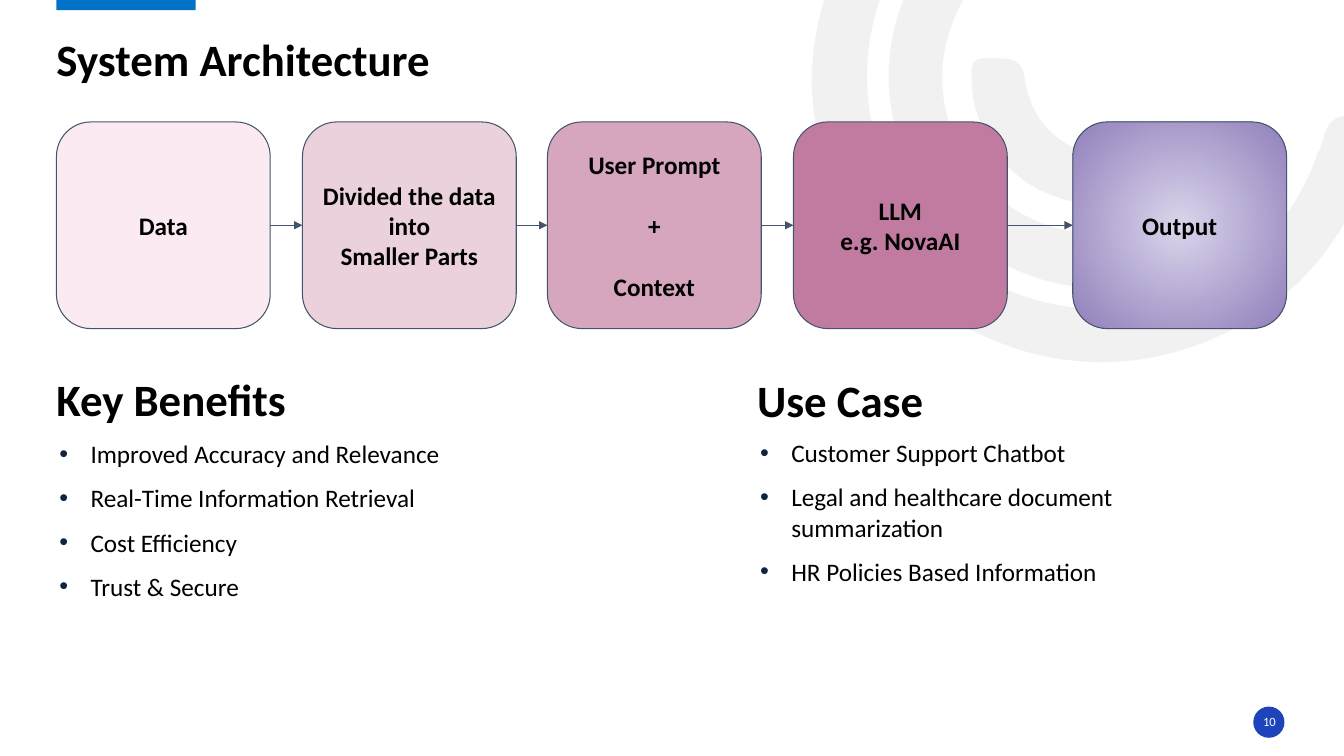
"""Build the System Architecture slide with its process flow and two bullet lists."""
from dataclasses import dataclass
from itertools import chain

from lxml.etree import SubElement
from pptx import Presentation
from pptx.dml.color import RGBColor
from pptx.enum.shapes import MSO_CONNECTOR, MSO_SHAPE
from pptx.enum.text import MSO_ANCHOR as Anchor, PP_ALIGN as Align
from pptx.oxml.ns import qn
from pptx.util import Inches, Pt

COLORS = {
    "text": "000000", "white": "FFFFFF", "outline": "44546A", "bullet": "0F253E",
    "swirl": "E7E6E6", "bar": "0072C7", "badge": "1E44BC",
    "data": "FBEAF2", "parts": "EAD1DC", "prompt": "D5A6BD", "model": "C27BA0",
    "output_core": "DBD4EB", "output_edge": "9080BB",
}
FONT = "Calibri"
Point = tuple[float, float]
Box = tuple[float, float, float, float]


@dataclass
class Stage:
    lines: list[str]
    fills: list[str]
    gap_before: float = 0.32
    line_gap: int = 0


@dataclass
class Heading:
    text: str
    box: Box


@dataclass
class BulletList:
    items: list[str]
    box: Box


@dataclass
class Arc:
    start: Point
    curves: list[tuple[Point, Point, Point]]


STAGES = [
    Stage(["Data"], ["data"], 0),
    Stage(["Divided the data", "into", "Smaller Parts"], ["parts"]),
    Stage(["User Prompt", "+", "Context"], ["prompt"], 0.31, line_gap=22),
    Stage(["LLM", "e.g. NovaAI"], ["model"]),
    Stage(["Output"], ["output_core", "output_edge"], 0.65),
]
HEADINGS = [
    Heading("System Architecture", (0.56, 0.35, 12.19, 0.51)),
    Heading("Key Benefits", (0.56, 3.72, 4.96, 0.51)),
    Heading("Use Case", (7.51, 3.73, 4.96, 0.51)),
]
BULLET_LISTS = [
    BulletList(["Improved Accuracy and Relevance", "Real-Time Information Retrieval",
                "Cost Efficiency", "Trust & Secure"], (0.36, 4.3, 5.16, 2.54)),
    BulletList(["Customer Support Chatbot", "Legal and healthcare document summarization",
                "HR Policies Based Information"], (7.31, 4.29, 5.16, 2.54)),
]
SWIRL = [
    Arc((8.51, 2.29), [
        ((7.99, 1.49), (7.87, 0.5), (8.38, -0.5)),
        ((8.9, -1.52), (9.76, -2.03), (10.9, -2.07)),
        ((11.05, -2.07), (11.21, -2.1), (11.31, -1.95)),
        ((11.44, -1.75), (11.27, -1.54), (10.98, -1.54)),
        ((9.67, -1.54), (8.65, -0.59), (8.6, 0.68)),
        ((8.56, 1.81), (9.36, 2.81), (10.46, 3.02)),
        ((11.6, 3.24), (12.7, 2.61), (13.07, 1.52)),
        ((13.09, 1.48), (13.11, 1.44), (13.12, 1.4)),
        ((13.16, 1.19), (13.27, 1.11), (13.49, 1.17)),
        ((13.73, 1.24), (13.67, 1.41), (13.61, 1.56)),
        ((13.34, 2.45), (12.78, 3.07), (11.91, 3.41)),
        ((10.7, 3.87), (9.36, 3.45), (8.51, 2.29)),
    ]),
    Arc((9.22, 1.99), [
        ((8.62, 1.15), (8.69, 0.07), (9.4, -0.68)),
        ((9.51, -0.79), (9.62, -0.95), (9.8, -0.78)),
        ((9.95, -0.64), (9.97, -0.5), (9.79, -0.32)),
        ((9.25, 0.26), (9.2, 1.08), (9.65, 1.68)),
        ((10.08, 2.29), (10.88, 2.49), (11.61, 2.15)),
        ((11.82, 2.05), (11.93, 2.12), (12.03, 2.29)),
        ((12.13, 2.5), (11.97, 2.56), (11.83, 2.63)),
        ((10.96, 3.1), (9.83, 2.82), (9.22, 1.99)),
    ]),
    Arc((9.87, 1.51), [
        ((9.75, 1.3), (9.64, 1.07), (9.64, 0.82)),
        ((9.64, 0.73), (9.61, 0.57), (9.76, 0.58)),
        ((9.92, 0.59), (10.13, 0.53), (10.16, 0.76)),
        ((10.21, 1.1), (10.36, 1.32), (10.67, 1.48)),
        ((10.88, 1.57), (10.76, 1.76), (10.72, 1.89)),
        ((10.68, 2.06), (10.55, 1.98), (10.45, 1.94)),
        ((10.21, 1.87), (10.03, 1.7), (9.87, 1.51)),
    ]),
]


def color(name: str) -> RGBColor:
    return RGBColor.from_string(COLORS[name])


def inches(values) -> list:
    return [Inches(value) for value in values]


def write(shape, lines: list[str], size: float, bold=False, align=Align.LEFT, ink="text",
          anchor=Anchor.MIDDLE, inset: Point = (0, 0), gap=0, spacing=None, bullets=False) -> None:
    frame = shape.text_frame
    frame.word_wrap = True
    frame.vertical_anchor = anchor
    frame.margin_left = frame.margin_right = Inches(inset[0])
    frame.margin_top = frame.margin_bottom = Inches(inset[1])
    frame.text = "\n".join(lines)
    for index, paragraph in enumerate(frame.paragraphs):
        if bullets:
            add_bullet(paragraph)
        paragraph.alignment = align
        paragraph.line_spacing = spacing
        if index and gap:
            paragraph.space_before = Pt(gap)
        font = paragraph.font
        font.name, font.size, font.bold = FONT, Pt(size), bold
        font.color.rgb = color(ink)


def add_bullet(paragraph) -> None:
    properties = paragraph._p.get_or_add_pPr()
    properties.set("marL", str(Inches(0.44)))
    properties.set("indent", str(Inches(-0.31)))
    SubElement(SubElement(properties, qn("a:buClr")), qn("a:srgbClr"), val=COLORS["bullet"])
    SubElement(properties, qn("a:buFont"), typeface="Arial")
    SubElement(properties, qn("a:buChar"), char="•")


def paint(shape, name: str) -> None:
    shape.shadow.inherit = False
    shape.line.fill.background()
    shape.fill.solid()
    shape.fill.fore_color.rgb = color(name)


def add_filled(slide, kind, box: Box, fills: list[str]):
    shape = slide.shapes.add_shape(kind, *inches(box))
    paint(shape, fills[0])
    if len(fills) > 1:
        shape.fill.gradient()
        for stop, name in zip(shape.fill.gradient_stops, fills):
            stop.color.rgb = color(name)
        gradient = shape._element.spPr.find(qn("a:gradFill"))
        gradient.remove(gradient.find(qn("a:lin")))
        center = dict.fromkeys("ltrb", "50000")
        SubElement(SubElement(gradient, qn("a:path"), path="circle"), qn("a:fillToRect"), center)
    return shape


def add_arc(slide, arc: Arc) -> None:
    builder = slide.shapes.build_freeform(*inches(arc.start))
    builder.add_line_segments([inches(point) for point in chain(*arc.curves)], close=True)
    shape = builder.convert_to_shape()
    paint(shape, "swirl")
    properties = shape._element.spPr
    SubElement(next(properties.iter(qn("a:srgbClr"))), qn("a:alpha"), val="53000")
    outline = next(properties.iter(qn("a:path")))
    segments = outline.findall(qn("a:lnTo"))
    for curve, *others in zip(segments[::3], segments[1::3], segments[2::3]):
        curve.tag = qn("a:cubicBezTo")
        for other in others:
            curve.append(other[0])
            outline.remove(other)


def add_arrow(slide, source, target) -> None:
    arrow = slide.shapes.add_connector(MSO_CONNECTOR.STRAIGHT, 0, 0, 0, 0)
    arrow.begin_connect(source, 3)
    arrow.end_connect(target, 1)
    arrow.line.color.rgb, arrow.line.width = color("outline"), Pt(0.75)
    SubElement(arrow.line._get_or_add_ln(), qn("a:tailEnd"), type="triangle")
    SubElement(arrow._element.spPr, qn("a:effectLst"))


def add_flow(slide, left: float = 0.56, width: float = 2.12) -> None:
    previous = None
    for stage in STAGES:
        left += stage.gap_before
        shape = add_filled(slide, MSO_SHAPE.ROUNDED_RECTANGLE, (left, 1.21, width, 2.05), stage.fills)
        shape.line.color.rgb, shape.line.width = color("outline"), Pt(0.75)
        write(shape, stage.lines, 18, True, Align.CENTER, inset=(0.1, 0.1), gap=stage.line_gap)
        if previous is not None:
            add_arrow(slide, previous, shape)
        previous = shape
        left += width


def main() -> None:
    presentation = Presentation()
    presentation.slide_width, presentation.slide_height = inches((13.33, 7.5))
    slide = presentation.slides.add_slide(presentation.slide_layouts[6])
    for arc in SWIRL:
        add_arc(slide, arc)
    add_filled(slide, MSO_SHAPE.RECTANGLE, (0.56, -0.02, 1.38, 0.12), ["bar"])
    add_filled(slide, MSO_SHAPE.OVAL, (12.43, 7.01, 0.31, 0.31), ["badge"])
    number = slide.shapes.add_textbox(*inches((12.43, 7.06, 0.32, 0.2)))
    write(number, ["10"], 9, align=Align.CENTER, ink="white")
    add_flow(slide)
    for heading in HEADINGS:
        textbox = slide.shapes.add_textbox(*inches(heading.box))
        write(textbox, [heading.text], 32, True, anchor=Anchor.BOTTOM, spacing=0.9)
    for bullets in BULLET_LISTS:
        textbox = slide.shapes.add_textbox(*inches(bullets.box))
        write(textbox, bullets.items, 18, anchor=Anchor.TOP, inset=(0.1, 0.05), gap=10, bullets=True)
    presentation.save("out.pptx")


if __name__ == "__main__":
    main()
